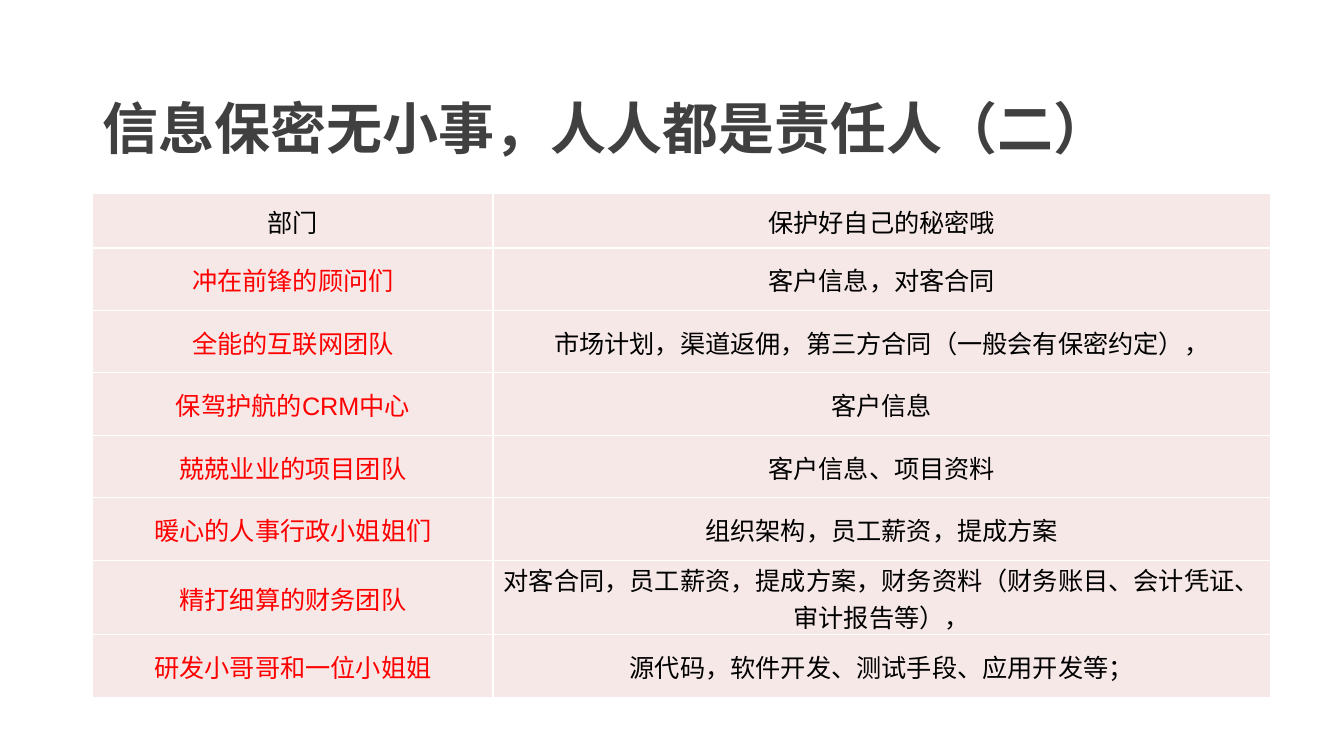
from lxml import etree
from pptx import Presentation
from pptx.dml.color import RGBColor
from pptx.enum.text import MSO_ANCHOR, PP_ALIGN
from pptx.oxml.ns import qn
from pptx.util import Inches, Pt

MIDDLE = MSO_ANCHOR.MIDDLE
LEFT, CENTER = PP_ALIGN.LEFT, PP_ALIGN.CENTER

FONT = "Arial"
DARK_GREY = RGBColor(0x40, 0x40, 0x40)
BLACK = RGBColor(0x00, 0x00, 0x00)
RED = RGBColor(0xFF, 0x00, 0x00)
WHITE = RGBColor(0xFF, 0xFF, 0xFF)
PALE_PINK = RGBColor(0xF7, 0xE8, 0xE8)

HEADER_HEIGHT, ROW_HEIGHT, TWO_LINE_HEIGHT = 0.54, 0.62, 0.74
COLUMN_WIDTHS = (3.97, 7.71)

TITLE = "信息保密无小事，人人都是责任人（二）"
# Department, what it keeps secret, row height
SECRETS = [
    ("部门", "保护好自己的秘密哦", HEADER_HEIGHT),
    ("冲在前锋的顾问们", "客户信息，对客合同", ROW_HEIGHT),
    ("全能的互联网团队", "市场计划，渠道返佣，第三方合同（一般会有保密约定），", ROW_HEIGHT),
    ("保驾护航的CRM中心", "客户信息", ROW_HEIGHT),
    ("兢兢业业的项目团队", "客户信息、项目资料", ROW_HEIGHT),
    ("暖心的人事行政小姐姐们", "组织架构，员工薪资，提成方案", ROW_HEIGHT),
    ("精打细算的财务团队",
     "对客合同，员工薪资，提成方案，财务资料（财务账目、会计凭证、审计报告等），",
     TWO_LINE_HEIGHT),
    ("研发小哥哥和一位小姐姐", "源代码，软件开发、测试手段、应用开发等；", ROW_HEIGHT),
]


def write_text(frame, text, *, size, color, bold=False, align=LEFT, spacing=None):
    """Put one formatted paragraph into a text frame."""
    frame.word_wrap = True
    paragraph = frame.paragraphs[0]
    paragraph.alignment = align
    paragraph.line_spacing = spacing
    run = paragraph.add_run()
    run.text = text
    run.font.name = FONT
    run.font.size = Pt(size)
    run.font.bold = bold
    run.font.color.rgb = color


def add_title(slide, text):
    title = slide.shapes.add_textbox(Inches(0.92), Inches(0.47), Inches(11.5), Inches(1.45))
    title.text_frame.vertical_anchor = MIDDLE
    write_text(title.text_frame, text, size=40, color=DARK_GREY, bold=True, spacing=1.2)


def add_borders(cell, color, width):
    """Draw all four sides of a cell; must run before its fill is set."""
    properties = cell._tc.get_or_add_tcPr()
    for side in ("a:lnL", "a:lnR", "a:lnT", "a:lnB"):
        line = etree.SubElement(properties, qn(side), w=str(Pt(width)))
        fill = etree.SubElement(line, qn("a:solidFill"))
        etree.SubElement(fill, qn("a:srgbClr"), val=str(color))


def fill_cell(cell, text, color):
    cell.margin_left = cell.margin_right = cell.margin_top = Inches(0.01)
    cell.margin_bottom = Inches(0)
    cell.vertical_anchor = MIDDLE
    add_borders(cell, WHITE, 1)
    cell.fill.solid()
    cell.fill.fore_color.rgb = PALE_PINK
    write_text(cell.text_frame, text, size=18, color=color, align=CENTER)


def add_secrets_table(slide, rows):
    total_height = sum(height for _, _, height in rows)
    table = slide.shapes.add_table(
        len(rows), len(COLUMN_WIDTHS), Inches(0.92), Inches(1.92),
        Inches(sum(COLUMN_WIDTHS)), Inches(total_height)).table
    for column, width in zip(table.columns, COLUMN_WIDTHS):
        column.width = Inches(width)

    # Department names are red below the header row
    for index, (department, secret, height) in enumerate(rows):
        table.rows[index].height = Inches(height)
        fill_cell(table.cell(index, 0), department, RED if index else BLACK)
        fill_cell(table.cell(index, 1), secret, BLACK)


def main():
    deck = Presentation()
    deck.slide_width, deck.slide_height = Inches(13.33), Inches(7.5)
    slide = deck.slides.add_slide(deck.slide_layouts[6])
    add_title(slide, TITLE)
    add_secrets_table(slide, SECRETS)
    deck.save("out.pptx")


if __name__ == "__main__":
    main()
